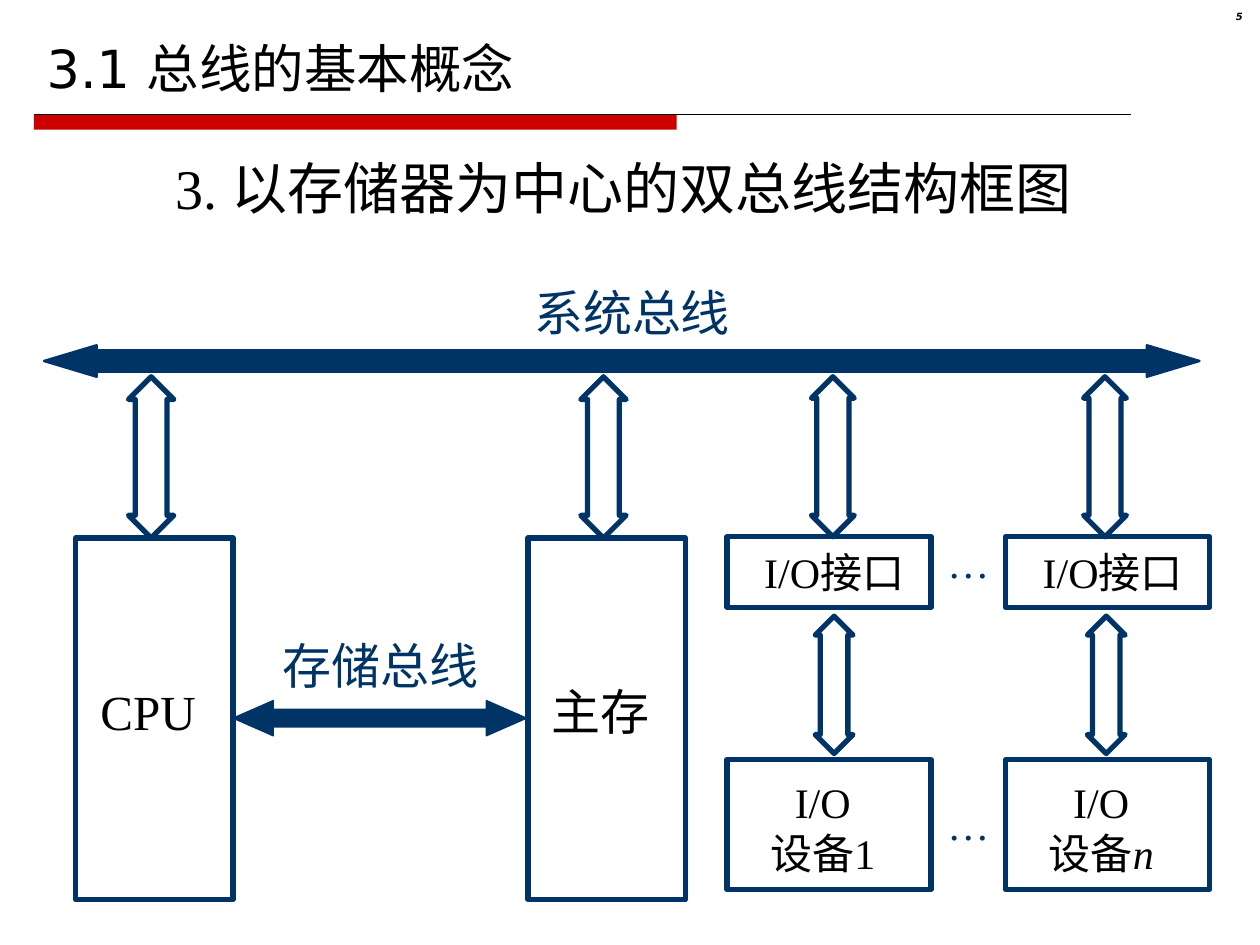
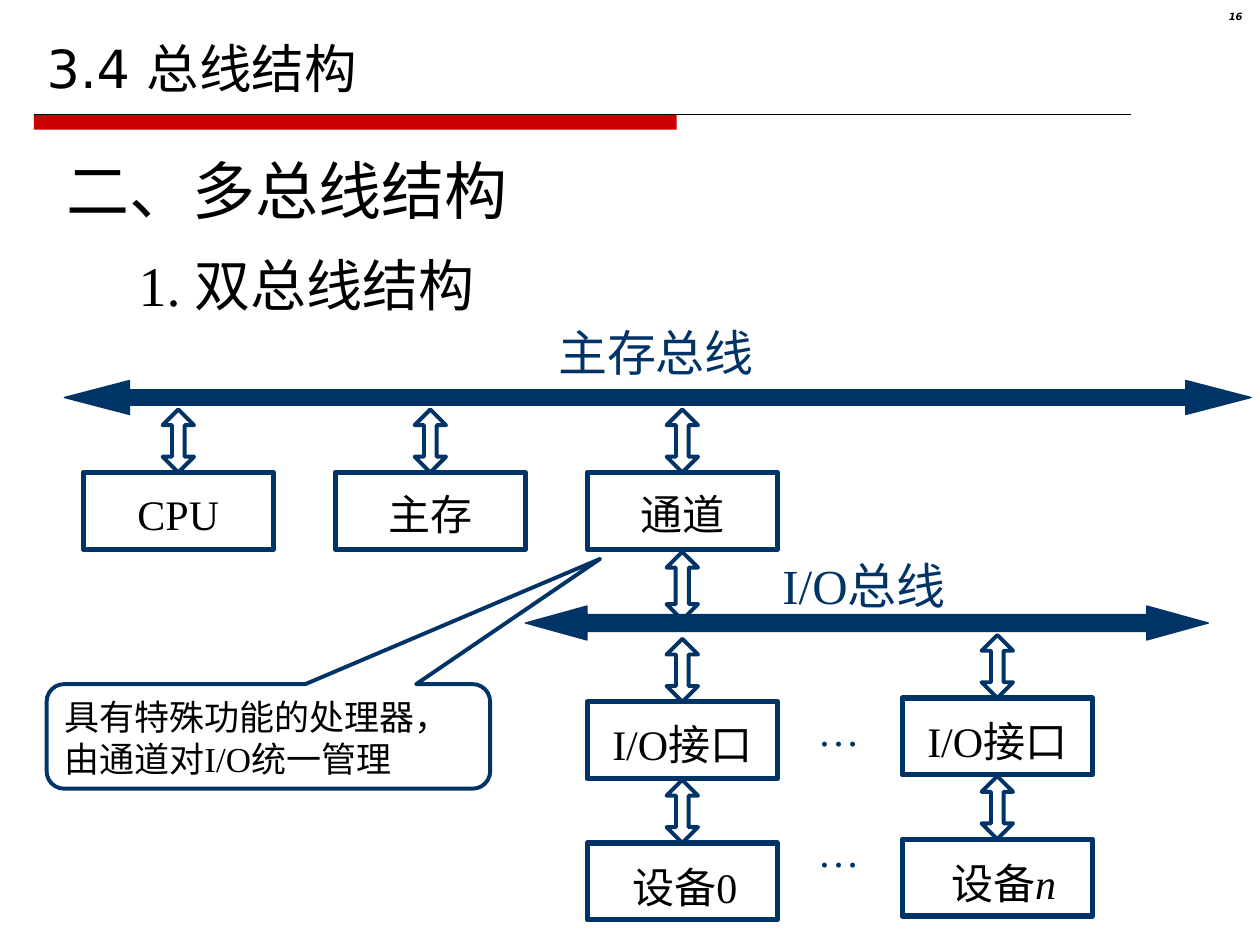
import pptx
import pptx.util
import pptx.dml.color
import pptx.enum.shapes
import pptx.enum.text
import pptx.oxml.ns
import lxml.etree

PX = 9144  # 100 px to the inch
NAVY, RED, BLACK = "003366", "CC0000", "000000"
SERIF, SANS, LABEL = "Times New Roman", "DejaVu Sans", "Cabin"
KIND = pptx.enum.shapes.MSO_SHAPE
ALIGN = pptx.enum.text.PP_ALIGN
ANCHOR = pptx.enum.text.MSO_ANCHOR


def px(*sizes):
    return [pptx.util.Emu(size * PX) for size in sizes]


def paint(form, color):
    """Give a fill or a font its colour."""
    if hasattr(form, "solid"):
        form.solid()
        form.fore_color.rgb = pptx.dml.color.RGBColor.from_string(color)
    else:
        form.color.rgb = pptx.dml.color.RGBColor.from_string(color)


def style(para, size, color=BLACK, font=SERIF, align=ALIGN.LEFT):
    para.alignment = align
    para.font.size = pptx.util.Pt(size)
    para.font.name = font
    paint(para.font, color)


def inset(frame, left, top, right, bottom):
    (frame.margin_left, frame.margin_top,
     frame.margin_right, frame.margin_bottom) = px(left, top, right, bottom)


def write(frame, lines, size, align=ALIGN.LEFT):
    """Write lines; a line given as a tuple ends in an italic run."""
    for i, line in enumerate(lines):
        para = frame.add_paragraph() if i else frame.paragraphs[0]
        if isinstance(line, tuple):
            for word, slant in zip(line, (False, True)):
                run = para.add_run()
                run.text = word
                run.font.italic = slant
        else:
            para.text = line
        style(para, size, align=align)


def label(slide, box, text, size, color=NAVY, font=SERIF):
    frame = slide.shapes.add_textbox(*px(*box)).text_frame
    frame.word_wrap = True
    inset(frame, 0, 0, 0, 0)
    frame.text = text
    style(frame.paragraphs[0], size, color, font)
    return frame


def shape(slide, kind, box, width, fill=None, adjust=()):
    item = slide.shapes.add_shape(kind, *px(*box))
    item.shadow.inherit = False
    for i, value in enumerate(adjust):
        item.adjustments[i] = value
    if fill:
        paint(item.fill, fill)
    else:
        item.fill.background()
    paint(item.line.fill, NAVY)
    item.line.width = pptx.util.Pt(width)
    return item


def bus(slide, box, shaft, head, width=0.75):
    shape(slide, KIND.LEFT_RIGHT_ARROW, box, width, NAVY, (shaft, head))


def link(slide, box, head, width):
    """Hollow arrow between a bus and a unit."""
    shape(slide, KIND.UP_DOWN_ARROW, box, width, None, (0.5, head))


def unit(slide, box, lines, size=24, dx=0, dy=0):
    """Outlined block whose centred text is moved by dx, dy."""
    frame = shape(slide, KIND.RECTANGLE, box, 3).text_frame
    frame.word_wrap = False
    frame.vertical_anchor = ANCHOR.MIDDLE
    inset(frame, 10 + dx, 10 + dy, 10 - dx, 10 - dy)
    write(frame, lines, size, ALIGN.CENTER)


def note(slide, box, lines):
    item = shape(slide, KIND.ROUNDED_RECTANGULAR_CALLOUT, box, 2.25,
                 None, (0.748, -1.698, 0.167))
    frame = item.text_frame
    frame.word_wrap = False
    frame.vertical_anchor = ANCHOR.TOP
    inset(frame, 10, 5, 10, 5)
    write(frame, lines, 20)


def band(slide, left, top):
    bar = shape(slide, KIND.RECTANGLE, (left, top, 510, 12), 0.75, RED)
    bar.line.fill.background()
    rule = slide.shapes.add_connector(
        pptx.enum.shapes.MSO_CONNECTOR.STRAIGHT,
        *px(left, top, left + 871, top))
    paint(rule.line.fill, BLACK)
    rule.line.width = pptx.util.Pt(0.75)
    lxml.etree.SubElement(rule._element.spPr,
                          pptx.oxml.ns.qn("a:effectLst"))


def start(deck, text, number):
    """Add a slide with its title, band and number."""
    slide = deck.slides.add_slide(deck.slide_layouts[5])
    band(slide, 27, 91)
    title = slide.shapes.title
    title.left, title.top, title.width, title.height = px(27, 13, 945, 71)
    frame = title.text_frame
    frame.auto_size = pptx.enum.text.MSO_AUTO_SIZE.NONE
    frame.vertical_anchor = ANCHOR.BOTTOM
    frame.text = text
    style(frame.paragraphs[0], 30, font=SANS)

    frame = label(slide, (937, 5, 59, 23), number, 5.7, BLACK, SANS)
    inset(frame, 10, 5, 10, 5)
    para = frame.paragraphs[0]
    para.alignment = ALIGN.RIGHT
    para.line_spacing = 0.8
    para.font.bold = para.font.italic = True
    return slide


def dots(slide, left, *tops):
    for top in tops:
        label(slide, (left, top, 33, 40), "…", 24)


def tower(slide, left, top, text):
    """Tall unit that hangs from the system bus."""
    link(slide, (left + 42, top - 128, 36, 128), 0.7, 3)
    unit(slide, (left, top, 125, 287), [text], 28, -5, -6)


def port(slide, left, top, shift, device):
    """Interface and device that hang from the system bus."""
    link(slide, (left + shift, top - 127, 34, 127), 0.75, 3)
    unit(slide, (left, top, 162, 56), ["I/O接口"], dx=4)
    link(slide, (left + shift + 3, top + 63, 30, 109), 0.73, 3)
    unit(slide, (left, top + 177, 162, 103), ["I/O", device], dx=-5, dy=2)


def hang(slide, left, top, text, dx=0, dy=2):
    """Small unit with the link above it."""
    link(slide, (left + 63, top - 50, 25, 50), 0.4, 2.25)
    unit(slide, (left, top, 151, 61), [text], dx=dx, dy=dy)


def memory(deck):
    slide = start(deck, "3.1 总线的基本概念", "5")
    label(slide, (139, 122, 721, 107), "3. 以存储器为中心的双总线结构框图",
          32, BLACK)
    label(slide, (424, 224, 253, 47), "系统总线", 28, font=LABEL)
    bus(slide, (35, 274, 917, 25), 0.67, 1.67, 1.39)
    tower(slide, 60, 427, "CPU")
    tower(slide, 419, 427, "主存")
    port(slide, 577, 426, 67, "设备1")
    port(slide, 798, 426, 62, ("设备", "n"))
    dots(slide, 752, 426, 634)
    bus(slide, (185, 556, 233, 28), 0.5, 1.14)
    label(slide, (224, 504, 165, 47), "存储总线", 28)


def double(deck):
    slide = start(deck, "3.4 总线结构", "16")
    label(slide, (53, 120, 400, 60), "二、多总线结构", 36, BLACK)
    label(slide, (110, 199, 300, 54), "1. 双总线结构", 32, BLACK)
    note(slide, (37, 543, 352, 83),
         ["具有特殊功能的处理器，", "由通道对I/O统一管理"])
    for i, name in enumerate(("CPU", "主存", "通道")):
        hang(slide, 66 + 200 * i, 375, name)
    link(slide, (529, 438, 25, 54), 0.42, 2.25)
    for left, top, device, dx in ((466, 557, "设备0", 2),
                                  (716, 554, ("设备", "n"), 5)):
        hang(slide, left, top, "I/O接口", dy=3)
        hang(slide, left, top + 112, device, dx, 4)
    dots(slide, 649, 559, 655)
    label(slide, (443, 256, 266, 47), "主存总线", 28, font=LABEL)
    label(slide, (621, 441, 221, 47), "I/O总线", 28)
    bus(slide, (51, 302, 942, 27), 0.46, 1.92)
    bus(slide, (417, 481, 542, 27), 0.5, 1.81)


def main():
    deck = pptx.Presentation()
    deck.slide_width, deck.slide_height = px(1000, 750)
    memory(deck)
    double(deck)
    deck.save("out.pptx")


if __name__ == "__main__":
    main()
